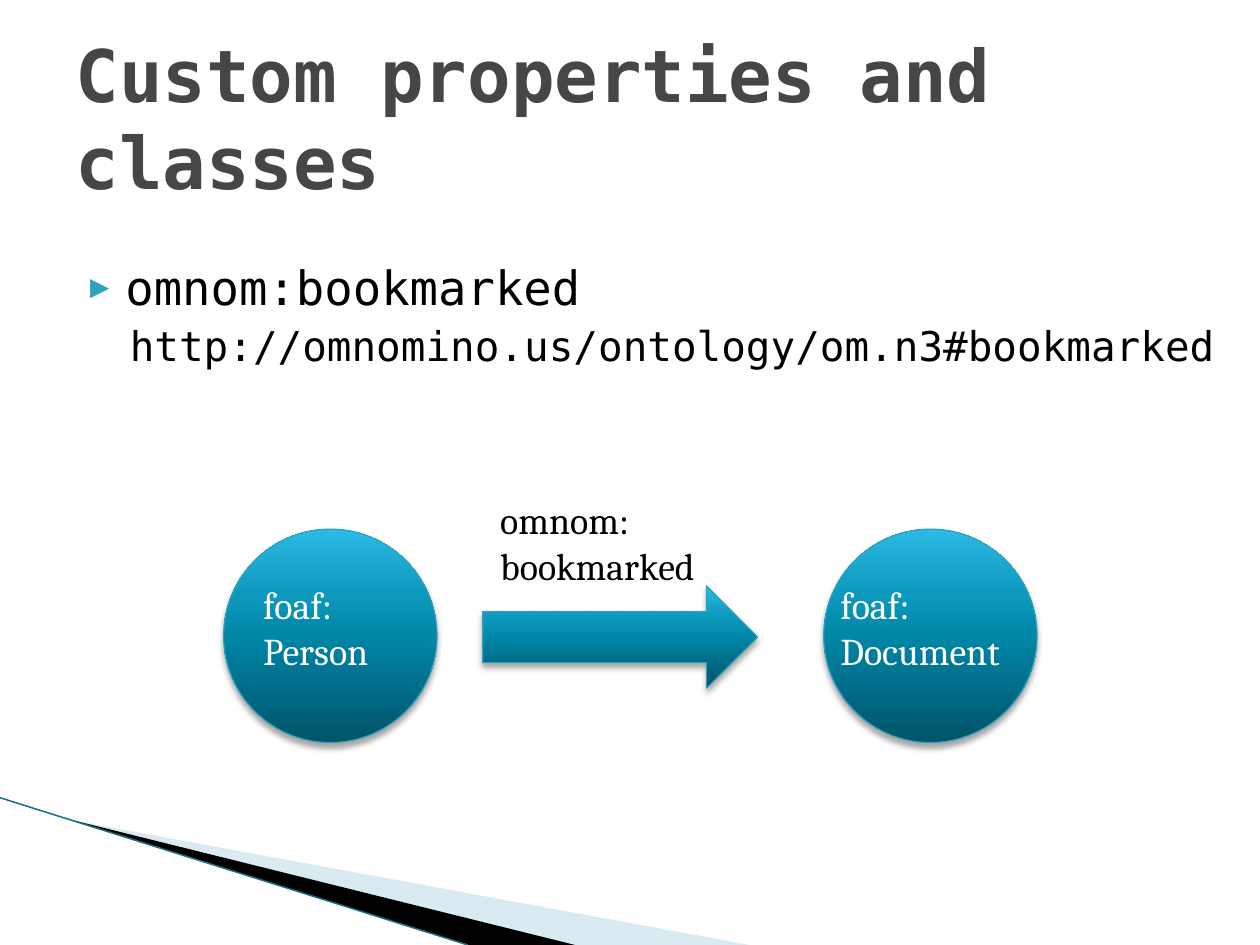
from dataclasses import dataclass
from lxml import etree
from pptx import Presentation
from pptx.dml.color import RGBColor
from pptx.enum.shapes import MSO_CONNECTOR, MSO_SHAPE
from pptx.enum.text import MSO_ANCHOR, MSO_AUTO_SIZE, PP_ALIGN
from pptx.oxml.ns import qn
from pptx.util import Pt

OVAL, ARROW = MSO_SHAPE.OVAL, MSO_SHAPE.RIGHT_ARROW
STRAIGHT = MSO_CONNECTOR.STRAIGHT
MIDDLE, TOP = MSO_ANCHOR.MIDDLE, MSO_ANCHOR.TOP
LEFT = PP_ALIGN.LEFT
NO_FIT = MSO_AUTO_SIZE.NONE


@dataclass(frozen=True)
class Theme:
    mono: str = "DejaVu Sans Mono"
    serif: str = "Cambria"
    title_size: int = 46
    item_size: int = 30
    address_size: int = 26
    label_size: int = 24
    title: str = "464646"
    black: str = "000000"
    white: str = "FFFFFF"
    accent: str = "2DA2BF"
    pale: str = "A0CBDC"
    edge: str = "1B7088"
    gradient: tuple = ((0, "005367"), (50, "0086A7"), (70, "0E9ABE"), (100, "2CB9E3"))


theme = Theme()


def add_element(parent, tag, **attributes):
    return etree.SubElement(parent, qn(tag), {key: str(value) for key, value in attributes.items()})


def add_span(para, text, font, size, color, bold=False):
    span = para.add_run()
    span.text = text
    span.font.name = font
    span.font.size = Pt(size)
    span.font.bold = bold
    span.font.color.rgb = RGBColor.from_string(color)


deck = Presentation()
deck.slide_width, deck.slide_height = Pt(800), Pt(600)
page = deck.slides.add_slide(deck.slide_layouts[1])

wedges = [
    (theme.pale, 40, [(44, 520.5), (476, 600), (364, 600)]),
    (theme.black, 100, [(43, 520), (365, 600), (297, 600)]),
]
for color, opacity, corners in wedges:
    points = [(Pt(x), Pt(y)) for x, y in corners]
    outline = page.shapes.build_freeform(*points[0], scale=1.0)
    outline.add_line_segments(points[1:], close=True)
    wedge = outline.convert_to_shape()
    wedge.shadow.inherit = False
    wedge.line.fill.background()
    wedge.fill.solid()
    wedge.fill.fore_color.rgb = RGBColor.from_string(color)
    if opacity < 100:
        tint = wedge._element.spPr.find(f"{qn('a:solidFill')}/{qn('a:srgbClr')}")
        add_element(tint, "a:alpha", val=opacity * 1000)

edge = page.shapes.add_connector(STRAIGHT, Pt(0), Pt(506.5), Pt(297), Pt(600))
edge.line.color.rgb = RGBColor.from_string(theme.edge)
edge.line.width = Pt(0.95)
add_element(edge._element.spPr, "a:effectLst")

title, body = page.shapes.title, page.placeholders[1]
placements = [(title, (40, 24, 720, 100), MIDDLE), (body, (40, 160, 760, 146), TOP)]
for holder, (left, top, width, height), anchor in placements:
    holder.left, holder.top, holder.width, holder.height = Pt(left), Pt(top), Pt(width), Pt(height)
    frame = holder.text_frame
    frame.auto_size = NO_FIT
    frame.word_wrap = True
    frame.vertical_anchor = anchor
    frame.margin_left = frame.margin_right = Pt(7.9)
    frame.margin_top = frame.margin_bottom = Pt(4)

para = title.text_frame.paragraphs[0]
para.alignment = LEFT
add_span(para, "Custom properties and classes", theme.mono, theme.title_size, theme.title, True)

item = body.text_frame.paragraphs[0]
item.space_before = Pt(0)
properties = item._p.get_or_add_pPr()
properties.set("marL", str(Pt(31.7)))
properties.set("indent", str(Pt(-22.3)))
add_element(add_element(properties, "a:buClr"), "a:srgbClr", val=theme.accent)
add_element(properties, "a:buSzPct", val=68000)
add_element(properties, "a:buFont", typeface=theme.mono)
add_element(properties, "a:buChar", char="▶")
add_span(item, "omnom:bookmarked", theme.mono, theme.item_size, theme.black)

address = body.text_frame.add_paragraph()
address.level = 1
address.space_before = Pt(3.6)
properties = address._p.get_or_add_pPr()
properties.set("marL", str(Pt(54.7)))
properties.set("indent", str(Pt(-20.2)))
add_element(properties, "a:buNone")
add_span(address, "http://omnomino.us/ontology/om.n3#bookmarked", theme.mono, theme.address_size, theme.black)

diagram = [
    (OVAL, (142, 336, 135.5, 135.5), (160, 366, 88.5), theme.white, ("foaf:", "Person")),
    (OVAL, (523, 336, 135.5, 135.5), (526.5, 366, 140.5), theme.white, ("foaf:", "Document")),
    (ARROW, (306.5, 372, 174.5, 65), (310.5, 312, 151), theme.black, ("omnom:", "bookmarked")),
]
for kind, bounds, (left, top, width), color, words in diagram:
    group = page.shapes.add_group_shape()
    figure = group.shapes.add_shape(kind, *map(Pt, bounds))
    figure.line.color.rgb = RGBColor.from_string(theme.accent)
    figure.line.width = Pt(0.75)
    figure.fill.gradient()
    figure.fill.gradient_angle = 90
    stops = figure._element.spPr.find(f"{qn('a:gradFill')}/{qn('a:gsLst')}")
    stops.clear()
    for position, shade in theme.gradient:
        add_element(add_element(stops, "a:gs", pos=position * 1000), "a:srgbClr", val=shade)
    figure.shadow.inherit = False
    effects = figure._element.spPr.find(qn("a:effectLst"))
    shadow = add_element(effects, "a:outerShdw", blurRad=Pt(4), dist=Pt(3), dir=5400000, rotWithShape=0)
    add_element(add_element(shadow, "a:srgbClr", val=theme.black), "a:alpha", val=35000)

    box = group.shapes.add_textbox(Pt(left), Pt(top), Pt(width), Pt(65.5))
    frame = box.text_frame
    frame.word_wrap = True
    for number, word in enumerate(words):
        para = frame.add_paragraph() if number else frame.paragraphs[0]
        para.alignment = LEFT
        add_span(para, word, theme.serif, theme.label_size, color)

deck.save("out.pptx")
